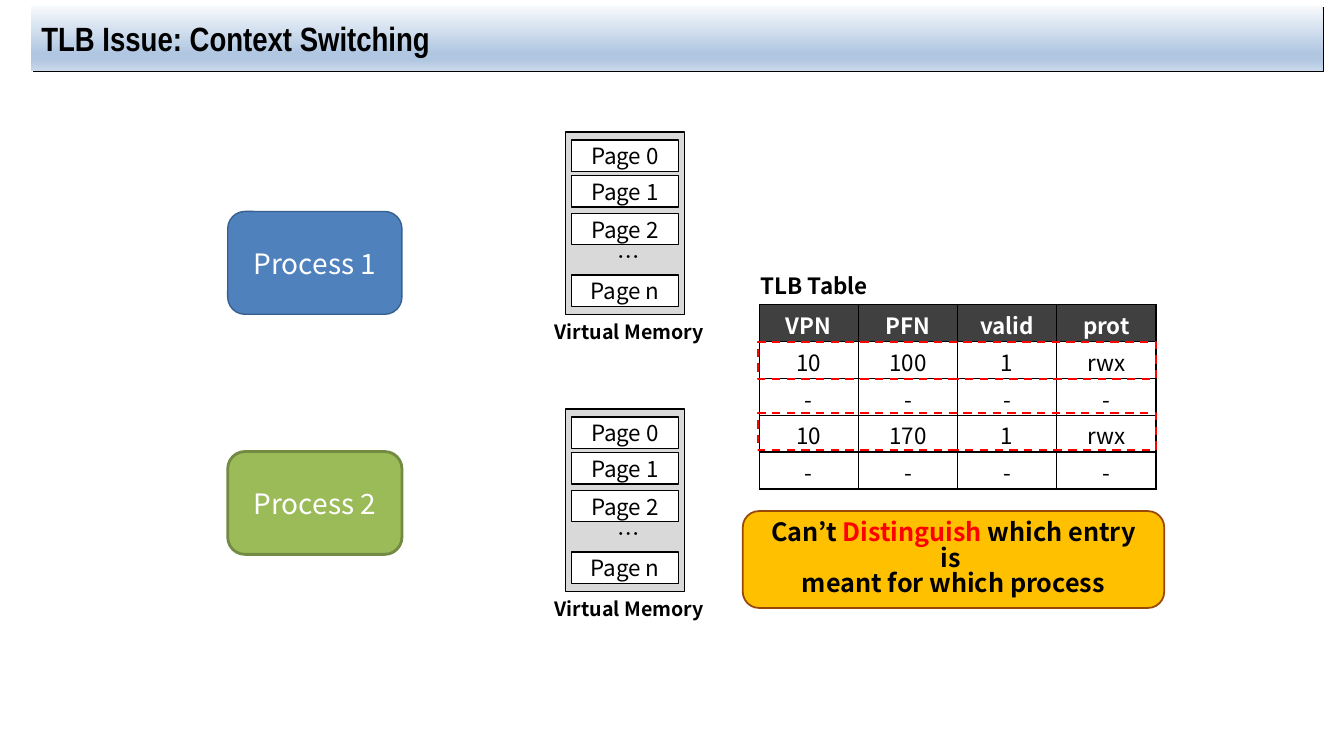
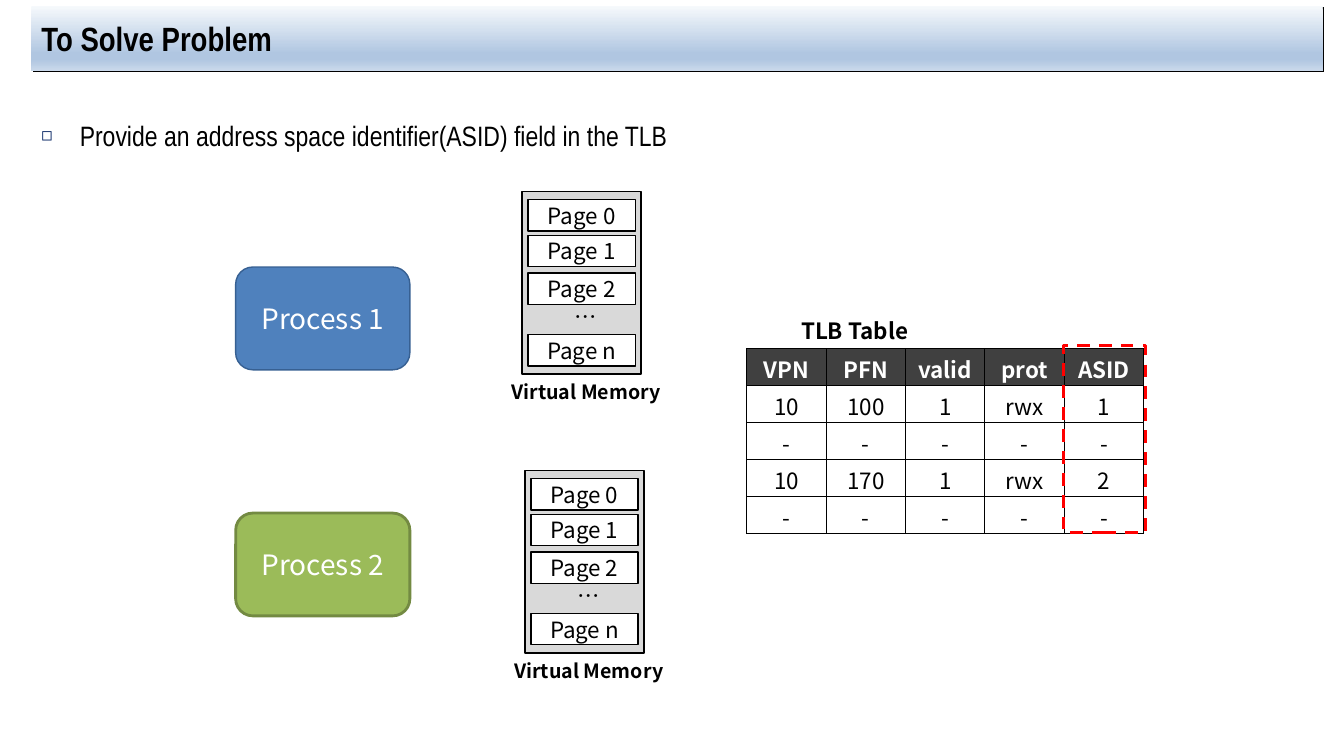
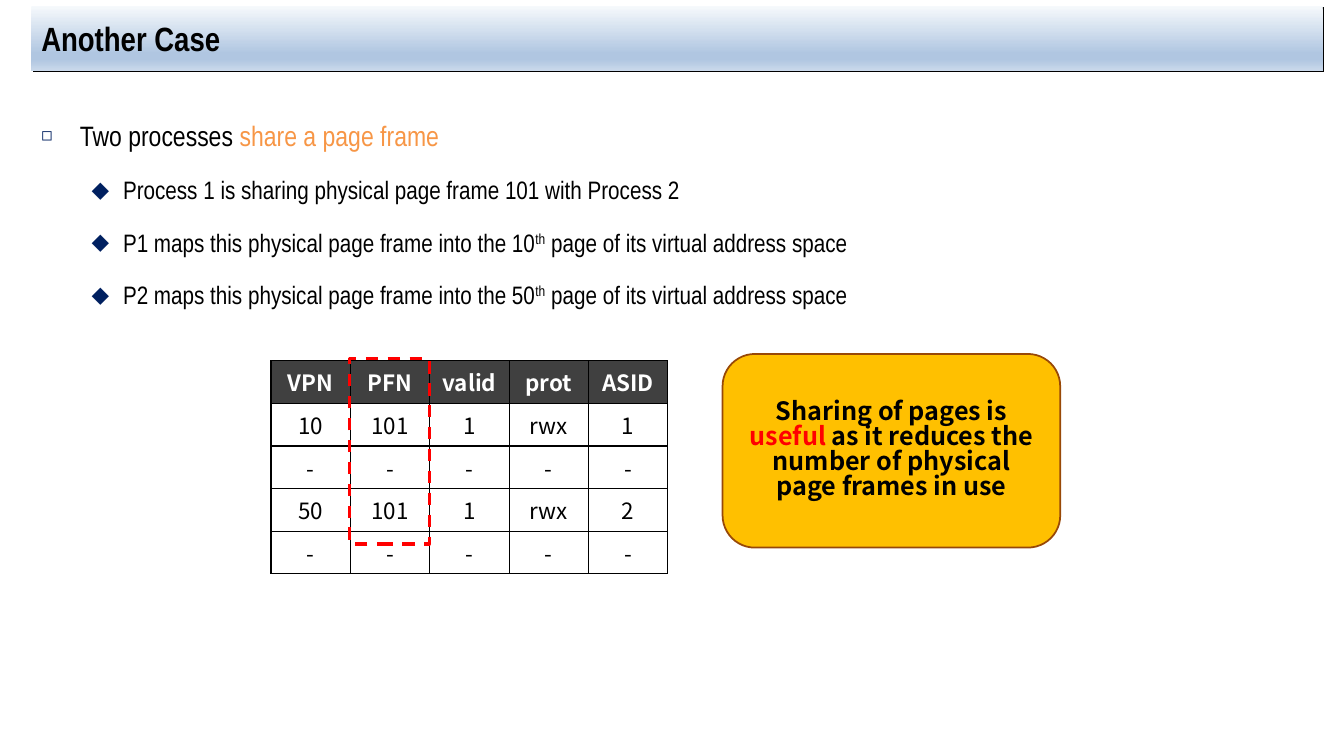
from pptx import Presentation
from pptx.dml.color import RGBColor
from pptx.enum.dml import MSO_LINE
from pptx.enum.shapes import MSO_SHAPE
from pptx.enum.text import MSO_ANCHOR, MSO_AUTO_SIZE, PP_ALIGN
from pptx.oxml import parse_xml
from pptx.oxml.ns import nsdecls
from pptx.util import Cm, Pt

BLACK = RGBColor(0x00, 0x00, 0x00)
WHITE = RGBColor(0xFF, 0xFF, 0xFF)
RED = RGBColor(0xFF, 0x00, 0x00)
ORANGE = RGBColor(0xF7, 0x96, 0x46)
NAVY = RGBColor(0x00, 0x20, 0x60)
BLUE = RGBColor(0x4F, 0x81, 0xBD)
BLUE_EDGE = RGBColor(0x37, 0x60, 0x92)
GREEN = RGBColor(0x9B, 0xBB, 0x59)
GREEN_EDGE = RGBColor(0x73, 0x8A, 0x42)
AMBER = RGBColor(0xFF, 0xC0, 0x00)
BROWN = RGBColor(0x98, 0x48, 0x07)
GREY = RGBColor(0xD9, 0xD9, 0xD9)
DARK = RGBColor(0x40, 0x40, 0x40)
BAND_STOPS = [
    (0, RGBColor(0xF6, 0xF9, 0xFC)),
    (74, RGBColor(0xB0, 0xC6, 0xE1)),
    (83, RGBColor(0xB0, 0xC6, 0xE1)),
    (100, RGBColor(0xCA, 0xD9, 0xEB)),
]

HEAD_FONT = "Arial Narrow"
BODY_FONT = "Noto Sans CJK KR"
TITLE_ONLY, TITLE_AND_BODY = 5, 1
BULLETS = [
    dict(char="◻", size=20, scale=65, left=0.97, hang=0.97),
    dict(char="⬥", size=18, scale=100, left=2.06, hang=0.79),
]
PAGES = [("Page 0", 0.2), ("Page 1", 1.1), ("Page 2", 2.05), ("Page n", 3.6)]
EMPTY_ROW = ["-"] * 5


def write_text(p, *runs, size=16, font=BODY_FONT, color=BLACK, bold=False, align=None):
    p.alignment = align
    for run in runs:
        text, changes = (run, {}) if isinstance(run, str) else run
        r = p.add_run()
        r.text = text
        r.font.name = font
        r.font.size = Pt(size)
        r.font.bold = bold
        r.font.color.rgb = changes.get("color", color)
        if "raised" in changes:
            r.font._element.set("baseline", str(changes["raised"] * 1000))


def place(shape, left, top, width, height):
    shape.left, shape.top = Cm(left), Cm(top)
    shape.width, shape.height = Cm(width), Cm(height)


def add_box(s, box, fill=None, line=None, weight=1, kind=MSO_SHAPE.RECTANGLE):
    sp = s.shapes.add_shape(kind, *map(Cm, box))
    sp.shadow.inherit = False
    if fill is None:
        sp.fill.background()
    else:
        sp.fill.solid()
        sp.fill.fore_color.rgb = fill
    if line is None:
        sp.line.fill.background()
    else:
        sp.line.color.rgb = line
        sp.line.width = Pt(weight)
    return sp


def set_frame(sp, side=0.25, anchor=MSO_ANCHOR.MIDDLE):
    tf = sp.text_frame
    tf.word_wrap = True
    tf.auto_size = MSO_AUTO_SIZE.NONE
    tf.vertical_anchor = anchor
    tf.margin_left = tf.margin_right = Cm(side)
    tf.margin_top = tf.margin_bottom = 0
    return tf


def add_label(s, text, box, **fmt):
    sp = s.shapes.add_textbox(*map(Cm, box))
    write_text(set_frame(sp).paragraphs[0], text, **fmt)


def new_slide(prs, title, layout):
    s = prs.slides.add_slide(prs.slide_layouts[layout])
    sp = s.shapes.title
    place(sp, 0.79, 0.15, 32.54, 1.63)
    stops = "".join(
        f'<a:gs pos="{pos * 1000}"><a:srgbClr val="{color}"/></a:gs>'
        for pos, color in BAND_STOPS
    )
    ns = nsdecls("a")
    sp_pr = sp._element.spPr
    sp_pr.append(parse_xml(
        f'<a:gradFill {ns} rotWithShape="1"><a:gsLst>{stops}</a:gsLst>'
        '<a:lin ang="5400000" scaled="0"/></a:gradFill>'))
    sp_pr.append(parse_xml(
        f'<a:effectLst {ns}><a:outerShdw dist="17780" dir="2700000" algn="ctr">'
        f'<a:srgbClr val="{BLACK}"/></a:outerShdw></a:effectLst>'))
    write_text(set_frame(sp).paragraphs[0], title, size=24, font=HEAD_FONT,
               bold=True, align=PP_ALIGN.LEFT)
    return s


def add_bullets(s, items):
    sp = s.placeholders[1]
    place(sp, 0.79, 2.44, 32.54, 15.29)
    tf = set_frame(sp, anchor=MSO_ANCHOR.TOP)
    tf.margin_top = Cm(0.13)
    for i, (level, *runs) in enumerate(items):
        p = tf.add_paragraph() if i else tf.paragraphs[0]
        style = BULLETS[level]
        p.level = level
        p_pr = p._p.get_or_add_pPr()
        p_pr.set("marL", str(Cm(style["left"])))
        p_pr.set("indent", str(-Cm(style["hang"])))
        ns = nsdecls("a")
        for xml in (
            f'<a:buClr {ns}><a:srgbClr val="{NAVY}"/></a:buClr>',
            f'<a:buSzPct {ns} val="{style["scale"] * 1000}"/>',
            f'<a:buChar {ns} char="{style["char"]}"/>',
        ):
            p_pr.append(parse_xml(xml))
        p.line_spacing = 1.5
        p.space_before = Pt(5 if i else 0)
        write_text(p, *runs, size=style["size"], font=HEAD_FONT)


def add_process(s, text, left, top, fill, line, weight):
    sp = add_box(s, (left, top, 4.39, 2.59), fill, line, weight,
                 MSO_SHAPE.ROUNDED_RECTANGLE)
    write_text(set_frame(sp).paragraphs[0], text, size=20, color=WHITE,
               align=PP_ALIGN.CENTER)


def add_processes(s, left, tops):
    add_process(s, "Process 1", left, tops[0], BLUE, BLUE_EDGE, 1)
    add_process(s, "Process 2", left, tops[1], GREEN, GREEN_EDGE, 2)


def add_virtual_memory(s, left, top):
    add_box(s, (left, top, 3, 4.6), GREY, BLACK)
    for text, offset in PAGES:
        sp = add_box(s, (left + 0.15, top + offset, 2.7, 0.79), WHITE, BLACK)
        write_text(set_frame(sp, side=0).paragraphs[0], text, align=PP_ALIGN.CENTER)
    add_label(s, "…", (left + 1.07, top + 2.67, 2.95, 0.94))
    add_label(s, "Virtual Memory", (left - 0.83, top + 4.6, 4.88, 0.86),
              size=14, bold=True, align=PP_ALIGN.CENTER)


def outline_cell(cell):
    tc_pr = cell._tc.get_or_add_tcPr()
    for side in "LRTB":
        tc_pr.append(parse_xml(
            f'<a:ln{side} {nsdecls("a")} w="{Pt(1)}"><a:solidFill>'
            f'<a:srgbClr val="{BLACK}"/></a:solidFill></a:ln{side}>'))


def add_tlb_table(s, left, top, rows, row_height, margins):
    n_cols = len(rows[0])
    table = s.shapes.add_table(len(rows), n_cols, Cm(left), Cm(top), Cm(10),
                               Cm(row_height * len(rows))).table
    for col in table.columns:
        col.width = Cm(10 / n_cols)
    for i, values in enumerate(rows):
        table.rows[i].height = Cm(row_height)
        for j, value in enumerate(values[:n_cols]):
            cell = table.cell(i, j)
            outline_cell(cell)
            cell.margin_top, cell.margin_bottom = map(Cm, margins)
            cell.margin_left = cell.margin_right = Cm(0.1)
            if i == 0:
                cell.fill.solid()
                cell.fill.fore_color.rgb = DARK
            else:
                cell.fill.background()
            write_text(cell.text_frame.paragraphs[0], value, bold=i == 0,
                       color=BLACK if i else WHITE, align=PP_ALIGN.CENTER)


def add_mark(s, box, weight):
    add_box(s, box, line=RED, weight=weight).line.dash_style = MSO_LINE.DASH


def add_callout(s, box, *lines):
    sp = add_box(s, box, AMBER, BROWN, 1.25, MSO_SHAPE.ROUNDED_RECTANGLE)
    tf = set_frame(sp, side=0.3)
    for i, runs in enumerate(lines):
        p = tf.add_paragraph() if i else tf.paragraphs[0]
        p.line_spacing = 0.83
        write_text(p, *runs, size=18, bold=True, align=PP_ALIGN.CENTER)


def context_switching(prs):
    s = new_slide(prs, "TLB Issue: Context Switching", TITLE_ONLY)
    add_processes(s, 5.74, (5.33, 11.38))
    for top in (3.33, 10.31):
        add_virtual_memory(s, 14.25, top)
    add_label(s, "TLB Table", (18.92, 6.73, 3.91, 0.94), bold=True)
    add_tlb_table(s, 19.13, 7.67, [
        ["VPN", "PFN", "valid", "prot"],
        ["10", "100", "1", "rwx"],
        EMPTY_ROW,
        ["10", "170", "1", "rwx"],
        EMPTY_ROW,
    ], 0.93, (0.1, 0))
    for top in (8.61, 10.41):
        add_mark(s, (19.1, top, 10.03, 0.94), 1.5)
    add_callout(s, (18.72, 12.88, 10.62, 2.44),
                ["Can’t ", ("Distinguish ", {"color": RED}), "which entry is "],
                ["meant for which process"])


def solve_problem(prs):
    s = new_slide(prs, "To Solve Problem", TITLE_AND_BODY)
    add_bullets(s, [
        (0, "Provide an address space identifier(ASID) field in the TLB"),
    ])
    add_processes(s, 5.94, (6.73, 12.93))
    add_virtual_memory(s, 13.16, 4.83)
    add_virtual_memory(s, 13.23, 11.86)
    add_label(s, "TLB Table", (19.94, 7.87, 3.91, 0.94), bold=True)
    add_tlb_table(s, 18.82, 8.79, [
        ["VPN", "PFN", "valid", "prot", "ASID"],
        ["10", "100", "1", "rwx", "1"],
        EMPTY_ROW,
        ["10", "170", "1", "rwx", "2"],
        EMPTY_ROW,
    ], 0.93, (0.1, 0))
    add_mark(s, (26.8, 8.71, 2.08, 4.7), 2.25)


def another_case(prs):
    s = new_slide(prs, "Another Case", TITLE_AND_BODY)
    th = ("th", {"raised": 30})
    add_bullets(s, [
        (0, "Two processes ", ("share a page frame", {"color": ORANGE})),
        (1, "Process 1 is sharing physical page frame 101 with Process 2"),
        (1, "P1 maps this physical page frame into the 10", th,
         " page of its virtual address space"),
        (1, "P2 maps this physical page frame into the 50", th,
         " page of its virtual address space"),
    ])
    add_tlb_table(s, 6.83, 9.09, [
        ["VPN", "PFN", "valid", "prot", "ASID"],
        ["10", "101", "1", "rwx", "1"],
        EMPTY_ROW,
        ["50", "101", "1", "rwx", "2"],
        EMPTY_ROW,
    ], 1.07, (0.13, 0.13))
    add_mark(s, (8.81, 9.04, 2.01, 4.67), 2.25)
    add_callout(s, (18.21, 8.92, 8.51, 4.88),
                ["Sharing of pages is ", ("useful", {"color": RED}),
                 " as it reduces the number of physical page frames in use"])


def main():
    prs = Presentation()
    prs.slide_width, prs.slide_height = Cm(33.87), Cm(19.05)
    context_switching(prs)
    solve_problem(prs)
    another_case(prs)
    prs.save("out.pptx")


if __name__ == "__main__":
    main()
